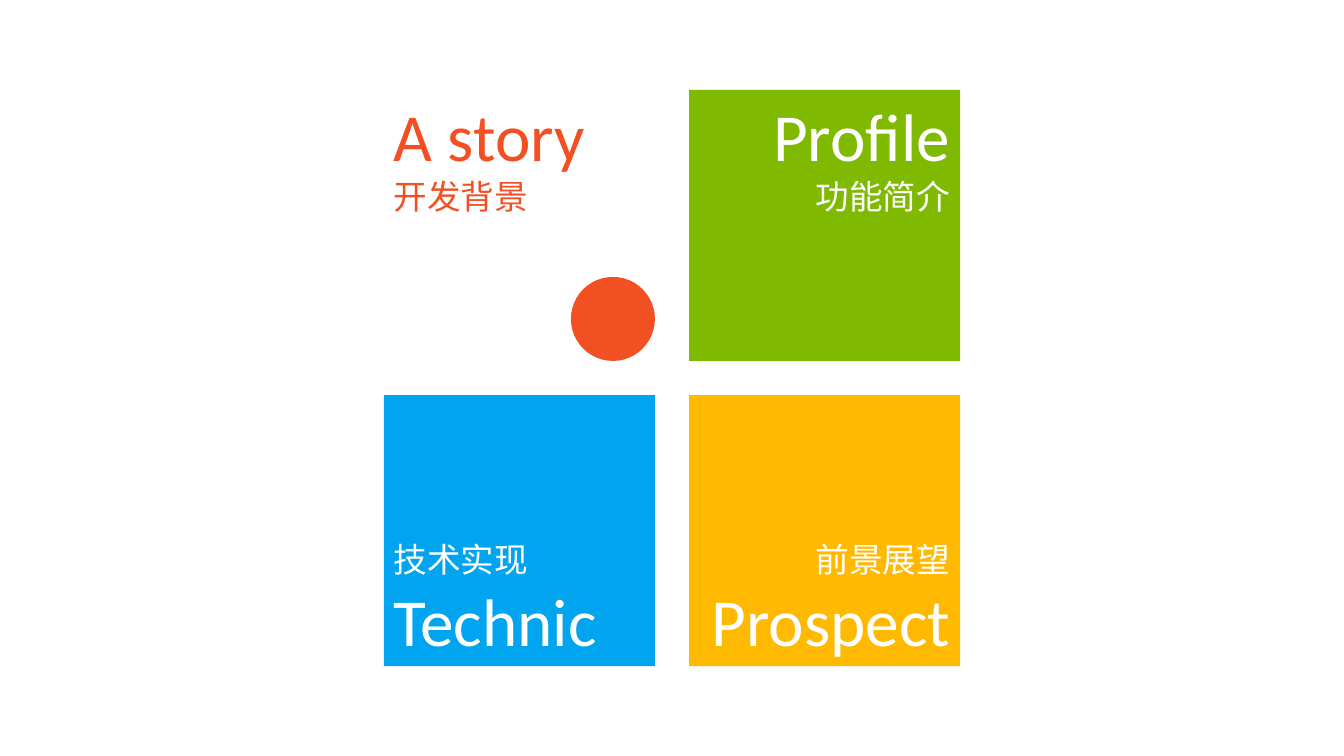
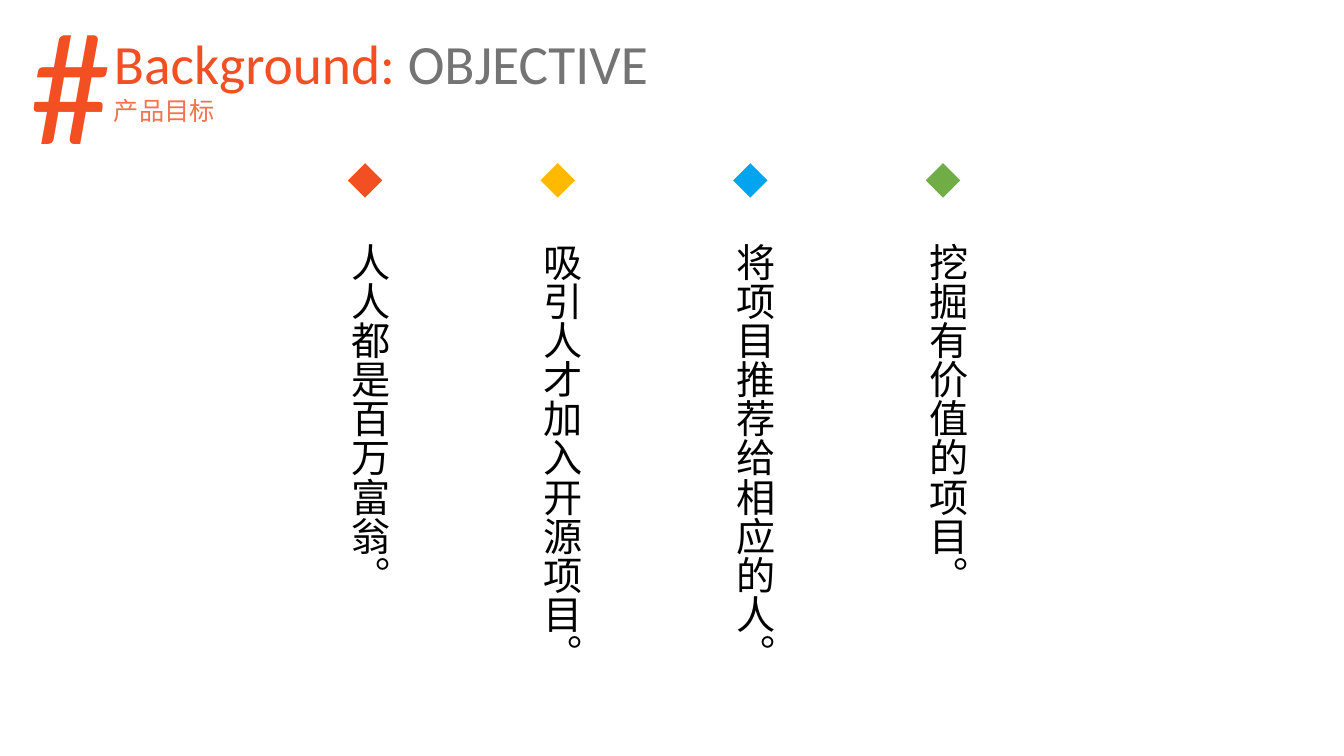
import pptx
import pptx.dml.color
import pptx.enum.shapes
import pptx.enum.text
import pptx.oxml
import pptx.oxml.ns
import pptx.util

Pt = pptx.util.Pt
Shape = pptx.enum.shapes.MSO_SHAPE
Align = pptx.enum.text.PP_ALIGN
Anchor = pptx.enum.text.MSO_ANCHOR

WIDTH, HEIGHT = 960, 540
RED, GREEN, BLUE, YELLOW = "F25022", "7FBA00", "01A4EF", "FFB901"
LEAF, GRAY, BLACK, WHITE = "70AD47", "747474", "000000", "FFFFFF"
LATIN, CHINESE = "Calibri", "Noto Sans CJK SC"
BLANK_LAYOUT, TITLE_LAYOUT = 6, 5


def rgb(value):
    return pptx.dml.color.RGBColor.from_string(value)


class Deck:
    """Holds the presentation, its style and the current slide."""

    def __init__(self):
        self.presentation = pptx.Presentation()
        self.presentation.slide_width = Pt(WIDTH)
        self.presentation.slide_height = Pt(HEIGHT)
        self.slide = None

    def add_slide(self, layout):
        layouts = self.presentation.slide_layouts
        self.slide = self.presentation.slides.add_slide(layouts[layout])

    def style(self, run, size, color, font=LATIN, opacity=100):
        run.font.size = Pt(size)
        run.font.name = font
        run.font.color.rgb = rgb(color)
        properties = run.font._element
        east_asian = pptx.oxml.parse_xml(
            f'<a:ea {pptx.oxml.ns.nsdecls("a")} typeface="{CHINESE}"/>')
        properties.append(east_asian)
        if opacity < 100:
            color_element = properties.find(".//" + pptx.oxml.ns.qn("a:srgbClr"))
            color_element.append(pptx.oxml.parse_xml(
                f'<a:alpha {pptx.oxml.ns.nsdecls("a")} val="{opacity * 1000}"/>'))

    def shape(self, kind, left, top, size, color):
        shape = self.slide.shapes.add_shape(
            kind, Pt(left), Pt(top), Pt(size), Pt(size))
        shape.shadow.inherit = False
        shape.fill.solid()
        shape.fill.fore_color.rgb = rgb(color)
        shape.line.fill.background()

    def text(self, left, top, width, height, lines, color, align=Align.LEFT,
             opacity=100):
        box = self.slide.shapes.add_textbox(
            Pt(left), Pt(top), Pt(width), Pt(height))
        frame = box.text_frame
        frame.word_wrap = True
        frame.text = "\n".join(words for words, size, font in lines)
        for paragraph, (words, size, font) in zip(frame.paragraphs, lines):
            paragraph.alignment = align
            self.style(paragraph.runs[0], size, color, font, opacity)
        return frame

    def vertical_text(self, left, top, width, height, words):
        frame = self.text(left, top, width, height,
                          [(words, 28, CHINESE)], BLACK)
        frame._txBody.bodyPr.set("vert", "eaVert")

    def heading(self, section, topic, subtitle):
        title = self.slide.shapes.title
        title.left, title.top = Pt(74.2), Pt(15.8)
        title.width, title.height = Pt(417.6), Pt(63.4)
        frame = title.text_frame
        frame.auto_size = pptx.enum.text.MSO_AUTO_SIZE.NONE
        frame.vertical_anchor = Anchor.MIDDLE
        paragraph = frame.paragraphs[0]
        paragraph.alignment = Align.LEFT
        paragraph.line_spacing = 0.9
        for words, color in ((section, RED), (topic, GRAY)):
            run = paragraph.add_run()
            run.text = words
            self.style(run, 39.6, color)

        mark = self.text(14.4, 15.8, 59.8, 100.8, [("#", 115, LATIN)], RED)
        mark.vertical_anchor = Anchor.MIDDLE
        mark.paragraphs[0].line_spacing = 0.9
        self.text(74.2, 64.8, 92.2, 28.8, [(subtitle, 18, LATIN)], RED,
                  opacity=80)


def build_contents(deck):
    tile, pitch, dot, label_height = 193.6, 218, 60, 94.4
    grid_left = (WIDTH - tile - pitch) / 2
    grid_top = (HEIGHT - tile - pitch) / 2
    sections = (
        ("A story", "开发背景", None),
        ("Profile", "功能简介", GREEN),
        ("Technic", "技术实现", BLUE),
        ("Prospect", "前景展望", YELLOW),
    )
    deck.add_slide(BLANK_LAYOUT)
    for index, (name, chinese_name, color) in enumerate(sections):
        row, column = divmod(index, 2)
        left, top = grid_left + column * pitch, grid_top + row * pitch
        if color:
            deck.shape(Shape.RECTANGLE, left, top, tile, color)
        else:
            deck.shape(Shape.OVAL, left + tile - dot, top + tile - dot, dot, RED)
        lines = [(name, 48, LATIN), (chinese_name, 24, CHINESE)]
        if row:
            lines.reverse()
            top += tile - label_height
        deck.text(left, top, tile, label_height, lines,
                  WHITE if color else RED,
                  Align.RIGHT if column else Align.LEFT)


def build_objective(deck):
    goals = (
        ("人人都是百万富翁。", RED),
        ("吸引人才加入开源项目。", YELLOW),
        ("将项目推荐给相应的人。", BLUE),
        ("挖掘有价值的项目。", LEAF),
    )
    deck.add_slide(TITLE_LAYOUT)
    deck.heading("Background: ", "OBJECTIVE", "产品目标")
    for index, (goal, color) in enumerate(goals):
        left = 236 + index * 137.6
        deck.shape(Shape.DIAMOND, left + 12.5, 116.6, 24.6, color)
        deck.vertical_text(left, 166.3, 48.2, 355.7, goal)


def main():
    deck = Deck()
    build_contents(deck)
    build_objective(deck)
    deck.presentation.save("out.pptx")


if __name__ == "__main__":
    main()
